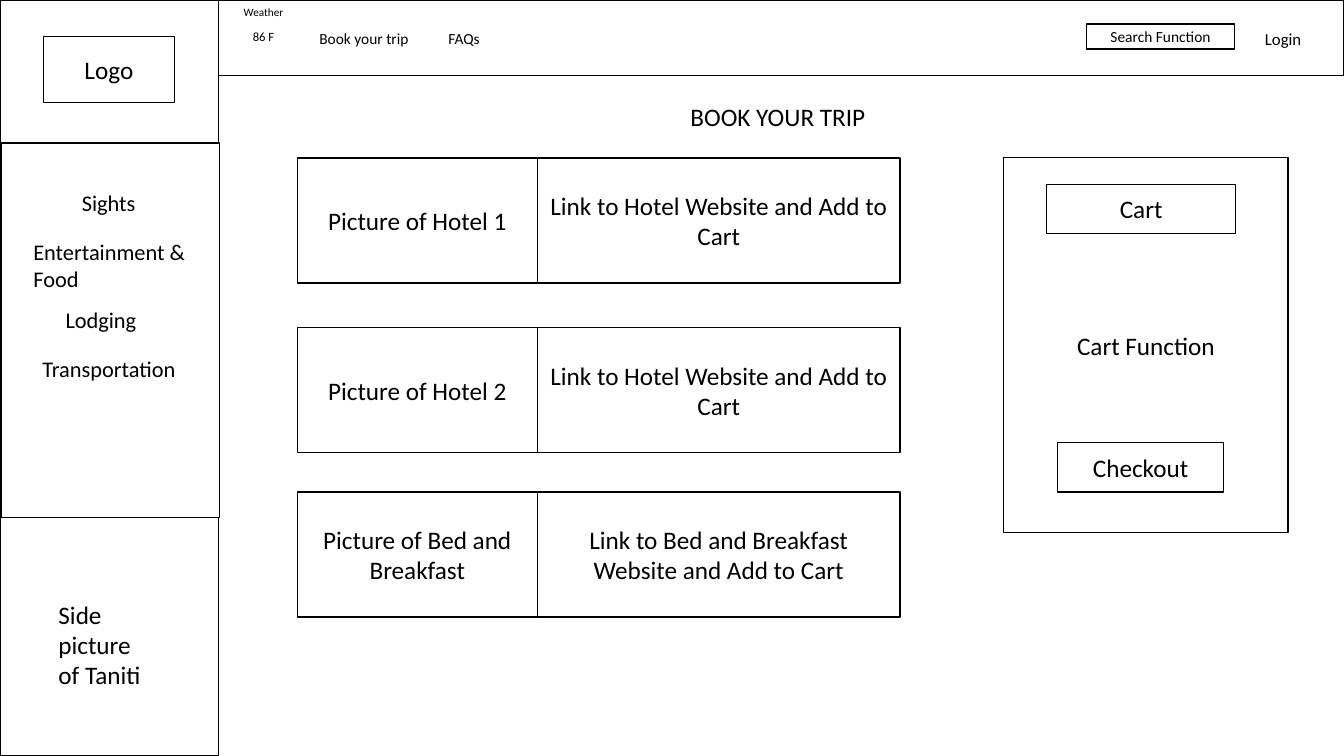
from typing import NamedTuple

from pptx import Presentation
from pptx.dml.color import RGBColor
from pptx.enum.shapes import MSO_SHAPE
from pptx.enum.text import MSO_ANCHOR, MSO_AUTO_SIZE, PP_ALIGN
from pptx.oxml.xmlchemy import OxmlElement
from pptx.util import Pt

RECTANGLE = MSO_SHAPE.RECTANGLE
TOP, MIDDLE = MSO_ANCHOR.TOP, MSO_ANCHOR.MIDDLE
LEFT, CENTER = PP_ALIGN.LEFT, PP_ALIGN.CENTER
NO_AUTOSIZE = MSO_AUTO_SIZE.NONE

FONT = "Calibri"
COLORS = {"ink": "000000", "paper": "FFFFFF"}


class Area(NamedTuple):
    """Left, top, width and height in points."""
    left: float
    top: float
    width: float
    height: float


class Box(NamedTuple):
    """An outlined wireframe box with an optional centred caption."""
    area: Area
    text: str = ""
    size: float = 18


class Label(NamedTuple):
    """Free-standing text."""
    area: Area
    text: str
    size: float


class MenuItem(NamedTuple):
    """A side menu entry with its indent and the gap above it."""
    text: str
    indent: float
    gap: float


class Lodging(NamedTuple):
    """A row of the booking list."""
    top: float
    picture: str
    link: str


SIDE_WIDTH = 156.2
PANELS = [
    Box(Area(0, 0, SIDE_WIDTH, 102.2)),
    Box(Area(0.7, 102.2, SIDE_WIDTH, 267.5)),
    Box(Area(0, 369.5, SIDE_WIDTH, 170.5)),
    Box(Area(SIDE_WIDTH, 0, 803.8, 54)),
    Box(Area(31, 26, 93.6, 47.3), "Logo"),
]
CART = [
    Box(Area(717, 112.5, 203, 267.8), "Cart Function"),
    Box(Area(755.5, 316, 118.6, 35.4), "Checkout"),
    Box(Area(747.6, 131.6, 135.1, 35), "Cart"),
    Box(Area(776, 17, 106, 18), "Search Function", 11),
]
LABELS = [
    Label(Area(34.7, 424.2, 77, 72.7), "Side picture of Taniti", 18),
    Label(Area(167, 0, 54, 17), "Weather", 8),
    Label(Area(173.5, 17.3, 32.4, 18), "86 F", 9),
    Label(Area(221, 17.3, 83.5, 20.6), "Book your trip", 11),
    Label(Area(313.2, 17.3, 38.9, 20.6), "FAQs", 11),
    Label(Area(896.4, 17.3, 49, 21.6), "Login", 12),
]
MENU_AREA = Area(16.6, 131.8, 124, 150)
MENU = [
    MenuItem("Sights", 34.6, 0),
    MenuItem("Entertainment & Food", 0, 15.5),
    MenuItem("Lodging", 23, 10.5),
    MenuItem("Transportation", 6.5, 15.5),
]
TITLE_AREA = Area(486, 69, 144.7, 29)
LIST_LEFT, PICTURE_WIDTH, LINK_WIDTH, ROW_HEIGHT = 212.4, 171.4, 259.2, 89.4
HOTEL_LINK = "Link to Hotel Website and Add to Cart"
LODGINGS = [
    Lodging(112.8, "Picture of Hotel 1", HOTEL_LINK),
    Lodging(234, "Picture of Hotel 2", HOTEL_LINK),
    Lodging(351.4, "Picture of Bed and Breakfast", "Link to Bed and Breakfast Website and Add to Cart"),
]


def color(name: str) -> RGBColor:
    """Look up a named colour."""
    return RGBColor.from_string(COLORS[name])


def points(area: Area) -> list:
    """Convert an area to lengths."""
    return [Pt(value) for value in area]


def format_frame(frame, *, anchor=TOP) -> None:
    """Make a text frame wrap at a fixed size."""
    frame.auto_size = NO_AUTOSIZE
    frame.word_wrap = True
    frame.vertical_anchor = anchor


def write_text(paragraph, text: str, *, size: float, align=LEFT, space_before: float = 0) -> None:
    """Write formatted text into a paragraph."""
    paragraph.alignment = align
    paragraph.space_before = Pt(space_before)
    run = paragraph.add_run()
    run.text = text
    run.font.name = FONT
    run.font.size = Pt(size)
    run.font.color.rgb = color("ink")


def draw_box(slide, box: Box) -> None:
    """Draw an outlined box and its caption."""
    shape = slide.shapes.add_shape(RECTANGLE, *points(box.area))
    shape.shadow.inherit = False
    shape.fill.solid()
    shape.fill.fore_color.rgb = color("paper")
    shape.line.color.rgb = color("ink")
    shape.line.width = Pt(1)
    if box.text:
        format_frame(shape.text_frame, anchor=MIDDLE)
        write_text(shape.text_frame.paragraphs[0], box.text, size=box.size, align=CENTER)


def draw_label(slide, label: Label) -> None:
    """Draw free-standing text."""
    shape = slide.shapes.add_textbox(*points(label.area))
    format_frame(shape.text_frame)
    write_text(shape.text_frame.paragraphs[0], label.text, size=label.size)


def place_placeholder(shape, area: Area) -> None:
    """Move a placeholder into place, in front of the panels."""
    shape.left, shape.top, shape.width, shape.height = points(area)
    shape.element.getparent().append(shape.element)
    format_frame(shape.text_frame)


def fill_menu(shape) -> None:
    """Fill the side menu without bullets."""
    place_placeholder(shape, MENU_AREA)
    frame = shape.text_frame
    for index, item in enumerate(MENU):
        paragraph = frame.add_paragraph() if index else frame.paragraphs[0]
        write_text(paragraph, item.text, size=16, space_before=item.gap)
        properties = paragraph._p.get_or_add_pPr()
        properties.set("marL", str(Pt(item.indent)))
        properties.set("indent", "0")
        properties.append(OxmlElement("a:buNone"))


def draw_lodging(slide, lodging: Lodging) -> None:
    """Draw the picture and link boxes of one lodging."""
    picture = Area(LIST_LEFT, lodging.top, PICTURE_WIDTH, ROW_HEIGHT)
    link = Area(LIST_LEFT + PICTURE_WIDTH, lodging.top, LINK_WIDTH, ROW_HEIGHT)
    draw_box(slide, Box(picture, lodging.picture))
    draw_box(slide, Box(link, lodging.link))


def main() -> None:
    """Build the booking page wireframe."""
    presentation = Presentation()
    presentation.slide_width, presentation.slide_height = Pt(960), Pt(540)
    slide = presentation.slides.add_slide(presentation.slide_layouts[1])
    title, menu = slide.placeholders
    for box in PANELS:
        draw_box(slide, box)
    for label in LABELS:
        draw_label(slide, label)
    fill_menu(menu)
    place_placeholder(title, TITLE_AREA)
    write_text(title.text_frame.paragraphs[0], "BOOK YOUR TRIP", size=18)
    for lodging in LODGINGS:
        draw_lodging(slide, lodging)
    for box in CART:
        draw_box(slide, box)
    presentation.save("out.pptx")


main()
